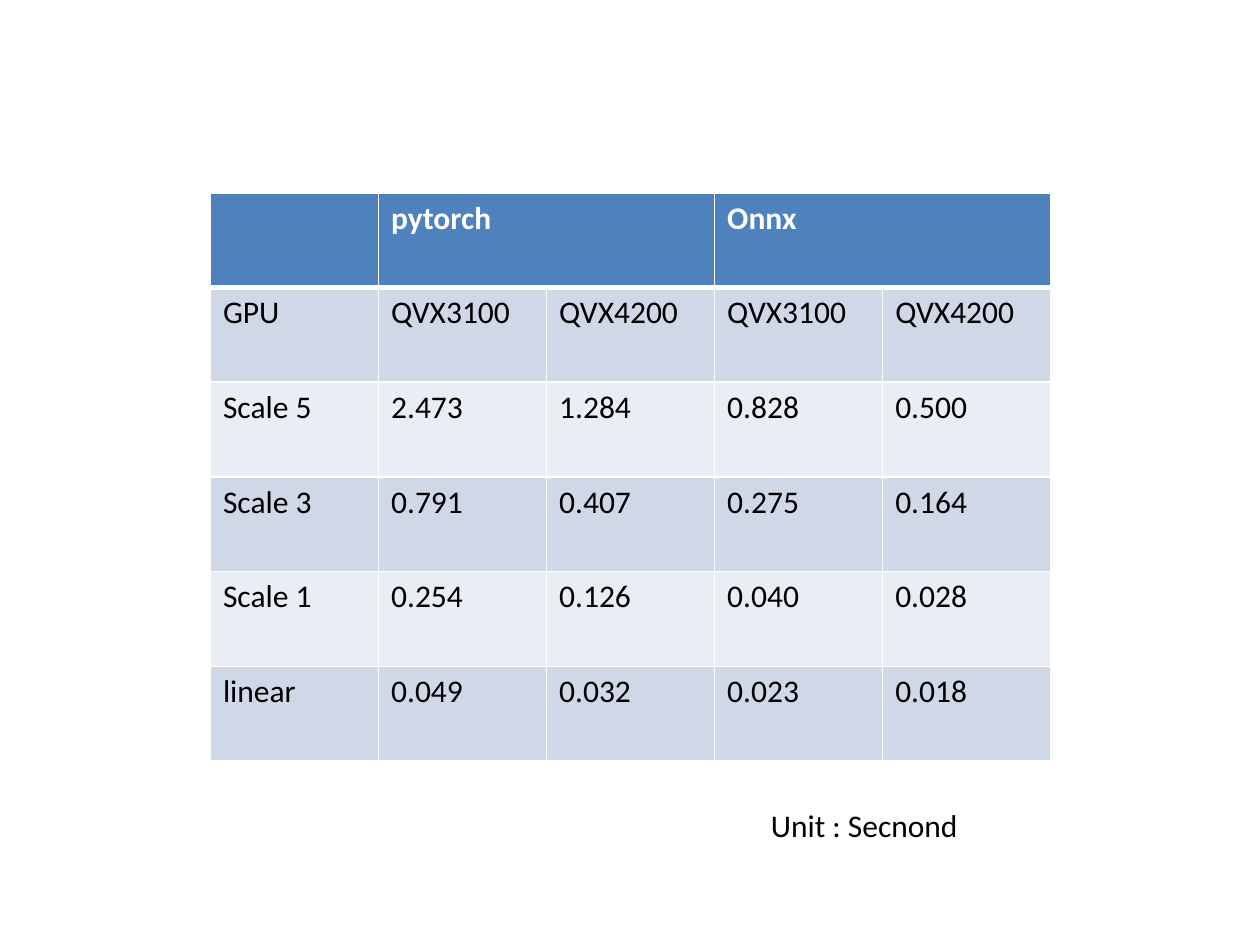
import dataclasses

import lxml.etree
import pptx
import pptx.dml.color
import pptx.enum.text
import pptx.oxml.ns
import pptx.util

Inches = pptx.util.Inches


@dataclasses.dataclass(frozen=True)
class Theme:
    font: str = "Calibri"
    size: int = 18
    text: str = "000000"
    header_text: str = "FFFFFF"
    header_fill: str = "4F81BD"
    bands: tuple = ("D0D8E8", "E9EDF4")
    border: str = "FFFFFF"
    thin: int = 1
    thick: int = 3


class SlideBuilder:
    """Holds the theme and the current slide."""

    def __init__(self, slide, theme):
        self.slide = slide
        self.theme = theme

    def format_text(self, text_frame, color, bold=False):
        for para in text_frame.paragraphs:
            for span in para.runs:
                span.font.name = self.theme.font
                span.font.size = pptx.util.Pt(self.theme.size)
                span.font.bold = bold
                span.font.color.rgb = pptx.dml.color.RGBColor.from_string(color)

    def border(self, cell, side, width):
        qn = pptx.oxml.ns.qn
        properties = cell._tc.get_or_add_tcPr()
        line = lxml.etree.SubElement(properties, qn(f"a:ln{side}"),
                                     w=str(pptx.util.Pt(width)))
        fill = lxml.etree.SubElement(line, qn("a:solidFill"))
        lxml.etree.SubElement(fill, qn("a:srgbClr"), val=self.theme.border)

    def style_cell(self, cell, row):
        theme = self.theme
        header = row == 0
        # Borders come before the fill in the cell properties
        widths = {"L": theme.thin, "R": theme.thin,
                  "T": theme.thick if row == 1 else theme.thin,
                  "B": theme.thick if header else theme.thin}
        for side, width in widths.items():
            self.border(cell, side, width)
        color = theme.header_fill if header else theme.bands[(row - 1) % 2]
        cell.fill.solid()
        cell.fill.fore_color.rgb = pptx.dml.color.RGBColor.from_string(color)
        self.format_text(cell.text_frame,
                         theme.header_text if header else theme.text, header)

    def table(self, rows, left, top, width, height, header_spans):
        table = self.slide.shapes.add_table(
            len(rows), len(rows[0]), Inches(left), Inches(top),
            Inches(width), Inches(height)).table
        for first, last in header_spans:
            table.cell(0, first).merge(table.cell(0, last))
        for r, values in enumerate(rows):
            for c, value in enumerate(values):
                cell = table.cell(r, c)
                if value:
                    cell.text_frame.text = value
                self.style_cell(cell, r)

    def label(self, text, left, top, width, height):
        box = self.slide.shapes.add_textbox(
            Inches(left), Inches(top), Inches(width), Inches(height))
        box.text_frame.text = text
        box.text_frame.word_wrap = False
        box.text_frame.auto_size = pptx.enum.text.MSO_AUTO_SIZE.SHAPE_TO_FIT_TEXT
        self.format_text(box.text_frame, self.theme.text)


def main():
    deck = pptx.Presentation()
    deck.slide_width, deck.slide_height = Inches(10), Inches(7.5)
    page = SlideBuilder(deck.slides.add_slide(deck.slide_layouts[6]), Theme())

    # Run times by library and graphics card
    cards = ["QVX3100", "QVX4200"]
    timings = [
        ["", "pytorch", "", "Onnx", ""],
        ["GPU", *cards, *cards],
        ["Scale 5", "2.473", "1.284", "0.828", "0.500"],
        ["Scale 3", "0.791", "0.407", "0.275", "0.164"],
        ["Scale 1", "0.254", "0.126", "0.040", "0.028"],
        ["linear", "0.049", "0.032", "0.023", "0.018"],
    ]
    page.table(timings, 1.67, 1.53, 6.67, 4.51, header_spans=[(1, 2), (3, 4)])

    # Unit of the values
    page.label("Unit : Secnond", 6.02, 6.35, 1.7, 0.4)

    deck.save("out.pptx")


if __name__ == "__main__":
    main()
